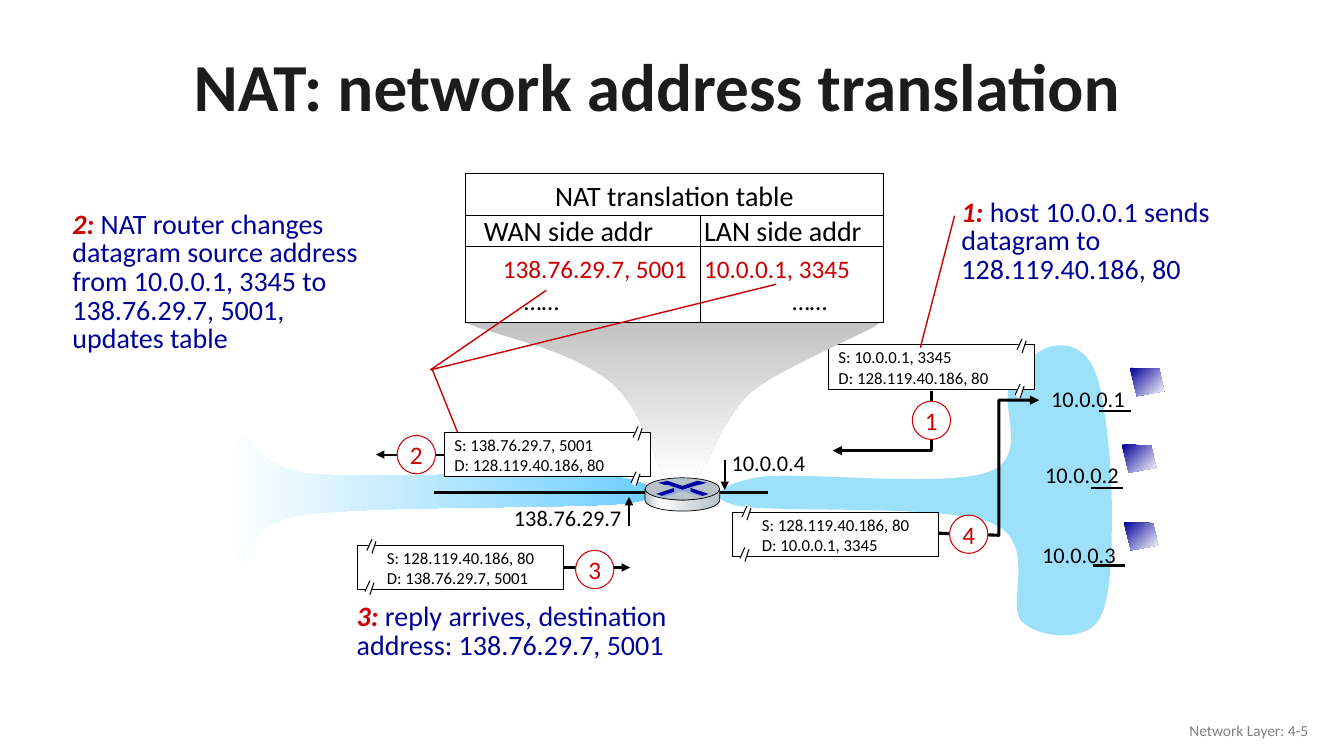
"""Build the slide on NAT, laid out on a grid of tenth-of-an-inch columns and rows."""
from collections import namedtuple

from pptx import Presentation
from pptx import util as u
from pptx.dml import color as dml
from pptx.enum import shapes, text
from pptx.oxml import ns, xmlchemy

GRID = u.Inches(0.1)
COLUMNS, ROWS = 133.33, 75
COLORS = {"black": "000000", "white": "FFFFFF", "title": "1C1C1C", "red": "CC0000", "navy": "000099",
          "footer": "808080", "sky": "66CCFF", "lan": "9CE0FA", "grey": "BFBFBF", "steel": "B8C2C9",
          "silver": "D6DCE0", "arrow": "0000A3", "shade": "8FAADC"}
ALIGN, ANCHOR = text.PP_ALIGN, text.MSO_ANCHOR
Packet = namedtuple("Packet", "number left top lines torn_right badge weight side route")
Note = namedtuple("Note", "number box lines pointers")
Host = namedtuple("Host", "address label monitor")
Row = namedtuple("Row", "height size color top spacing entries")

SENT = Packet("1", 82.2, 34.2, ("S: 10.0.0.1, 3345", "D: 128.119.40.186, 80"), True, (90.5, 39.8), 2.25, 2,
              ((92.4, 38.8), (92.4, 44.7), (82.6, 44.7)))
RELAYED = Packet("2", 44.1, 42.9, ("S: 138.76.29.7, 5001", "D: 128.119.40.186, 80"), True, (39.4, 43.2), 1.5, 1,
                 ((44.1, 45.1), (37.3, 45.1)))
REPLY = Packet("3", 35.5, 54.1, ("S: 128.119.40.186, 80", "D: 138.76.29.7, 5001"), False, (57.1, 54.6), 1.5, 3,
               ((56, 56.3), (62.5, 56.3)))
DELIVERED = Packet("4", 72.7, 50.8, ("S: 128.119.40.186, 80", "D: 10.0.0.1, 3345"), False, (94.2, 51.1), 2.25, 3,
                   ((93.1, 52.9), (99.1, 53.1), (99.1, 39.7), (103.1, 39.7)))
SENT_NOTE = Note("1: ", (94.4, 19.3, 33.6, 9.6), ("host 10.0.0.1 sends datagram to 128.119.40.186, 80",),
                 (((94.7, 21.4), (91.3, 34.5)),))
RELAYED_NOTE = Note(
    "2: ", (6.2, 20.5, 34.5, 15.3),
    ("NAT router changes datagram source address from 10.0.0.1, 3345 to 138.76.29.7, 5001,", "updates table"),
    (((42.9, 36.7), (45.4, 42.9)), ((42.7, 36.7), (54.2, 28.8)), ((42.7, 36.7), (77, 28.2))))
REPLY_NOTE = Note("3: ", (34.4, 59.4, 38.9, 6.8), ("reply arrives, destination address: 138.76.29.7, 5001",), ())
HOSTS = (Host("10.0.0.1", (103.3, 37.7), (112.1, 36.5)), Host("10.0.0.2", (102.7, 45.3), (111.3, 44.1)),
         Host("10.0.0.3", (102.4, 53.2), (111.5, 51.8)))
TABLE = (Row(4.2, 20, "black", 0.6, 1.0, (("NAT translation table", 0),)),
         Row(3.0, 20, "black", 0.2, 0.85, (("WAN side addr", 1.8), ("LAN side addr", 0.35))),
         Row(4.0, 18, "red", 0.8, 1.0, (("138.76.29.7, 5001", 3.7), ("10.0.0.1, 3345", 0.35))),
         Row(3.6, 18, "black", 0, 1.0, (("……", 5.8), ("……", 9.1))))

WAN_CLOUD = ((59.8, 47.1), (54.5, 46.6, 36.8, 47.6, 30.8, 47), (24.8, 46.4, 24.9, 42.1, 23.7, 43.5),
             (22.5, 45, 22.7, 54.4, 23.7, 55.7), (24.7, 56.9, 23.5, 52.1, 29.9, 51.1),
             (36.3, 50.1, 57.3, 50.5, 62.3, 49.9), (67.3, 49.2, 64.1, 47.6, 59.8, 47.1))
LAN_CLOUD = ((75.5, 47.3), (79.6, 46.8, 94, 48.4, 98.1, 46.8), (102.2, 45.3, 99.1, 40.2, 100.2, 38.1),
             (101.3, 36, 103.3, 34.4, 104.7, 34.3), (106.1, 34.1, 107.9, 34.6, 108.8, 37.3),
             (109.7, 40, 110.3, 46.4, 110.3, 50.5), (110.3, 54.6, 110.3, 59.9, 108.8, 61.8),
             (107.3, 63.6, 103.1, 63.3, 101.4, 61.7), (99.7, 60, 103.1, 53.8, 98.4, 51.9),
             (93.8, 50, 77.1, 50.9, 73.3, 50.2), (69.5, 49.4, 71.7, 47.9, 75.5, 47.3))
FUNNEL = ((46.2, 32), (46.2, 32, 82.3, 30.9, 87.1, 32), (88.5, 31.9, 77.7, 36.3, 74.7, 38.7),
          (71.7, 41.2, 70.2, 46.3, 68.9, 47.7), (66.3, 47.7), (64.9, 46, 63.8, 40.4, 60.5, 37.8),
          (56.3, 34.5, 49.5, 33.4, 46.2, 32))
ROUTER_SIDE = ((71.4, 48.6), (71.4, 49.7), (71.1, 50.5, 69, 50.7, 67.7, 50.7), (66.5, 50.7, 64.3, 50.5, 64, 49.7),
               (64, 48.5), (64.4, 49.2, 66.5, 49.6, 67.7, 49.6), (68.9, 49.6, 71, 49.3, 71.4, 48.6))
ROUTER_MARKS = (
    ("arrow", ((69.2, 47.7), (70.1, 47.9), (69.4, 48.1), (69.3, 48.1), (67.7, 48.6), (66.2, 48.1), (65.9, 48.1),
               (65.3, 47.9), (66.2, 47.7), (67.7, 48.2))),
    ("arrow", ((68.5, 48.4), (70.3, 49), (69.7, 49.2), (68.5, 48.8))),
    ("arrow", ((66.9, 48.4), (66.9, 48.8), (65.7, 49.2), (65.1, 49))),
    ("shade", ((65.9, 48.1), (66.2, 48.1), (67.7, 48.6), (69.3, 48.1), (69.5, 48.1), (68.5, 48.4), (68.5, 48.8),
               (69.6, 49.2), (69.3, 49.2), (67.7, 48.7), (66, 49.3), (65.7, 49.2), (66.9, 48.8), (66.9, 48.4))))
MONITOR = ((0, 0), (2.9, 0.1), (3.4, 2.3), (0.7, 2.8))
TEAR = ((0.4, 0), (0, 1.3), (0.5, 1.7), (0.9, 0.4))
TEAR_EDGES = (((0.5, 0.2), (0, 1.3)), ((0.9, 0.4), (0.5, 1.6)))


def grid(*cells: float) -> list[u.Emu]:
    return [u.Emu(round(cell * GRID)) for cell in cells]


def rgb(name: str) -> dml.RGBColor:
    return dml.RGBColor.from_string(COLORS[name])


def shift(points: tuple, origin: tuple) -> list[tuple]:
    return [(x + origin[0], y + origin[1]) for x, y in points]


def add_child(parent, tag: str, **attributes: str):
    child = xmlchemy.OxmlElement(tag)
    for key, value in attributes.items():
        child.set(key, value)
    parent.append(child)
    return child


def paint(shape, fill: str | tuple | None, line: str | None = None, weight: float = 0.75, angle: int = 0) -> None:
    shape.shadow.inherit = False
    if isinstance(fill, tuple):
        shape.fill.gradient()
        shape.fill.gradient_angle = -angle % 360
        stops = shape._element.spPr.find(".//" + ns.qn("a:gsLst"))
        stops[:] = []
        for position, name in fill:
            add_child(add_child(stops, "a:gs", pos=str(position * 1000)), "a:srgbClr", val=COLORS[name])
    elif fill:
        shape.fill.solid()
        shape.fill.fore_color.rgb = rgb(fill)
    else:
        shape.fill.background()
    shape.line.fill.background()
    if line:
        shape.line.color.rgb, shape.line.width = rgb(line), u.Pt(weight)


def add_outline(slide, steps: tuple | list, closed: bool = True):
    points = [grid(*step[n:n + 2]) for step in steps for n in range(0, len(step), 2)]
    builder = slide.shapes.build_freeform(*points[0])
    builder.add_line_segments(points[1:], close=closed)
    outline = builder.convert_to_shape()
    segments = iter(outline._element.findall(".//" + ns.qn("a:lnTo")))
    for step in steps[1:]:
        segment = next(segments)
        if len(step) == 6:
            curve = xmlchemy.OxmlElement("a:cubicBezTo")
            segment.addprevious(curve)
            for corner in (segment, next(segments), next(segments)):
                curve.append(corner[0])
                corner.getparent().remove(corner)
    return outline


def add_line(slide, start: tuple, end: tuple, color: str = "black", weight: float = 0.75, arrow: bool = False):
    line = slide.shapes.add_connector(shapes.MSO_CONNECTOR.STRAIGHT, *grid(*start, *end))
    line.line.color.rgb, line.line.width = rgb(color), u.Pt(weight)
    if arrow:
        add_child(line.line._get_or_add_ln(), "a:tailEnd", type="triangle")
    add_child(line._element.spPr, "a:effectLst")
    return line


def style(paragraph, size: float, color: str, align=ALIGN.LEFT, spacing: float = 1.0, bold: bool = False) -> None:
    paragraph.alignment, paragraph.line_spacing = align, spacing
    font = paragraph.font
    font.name, font.size, font.bold, font.color.rgb = "Calibri", u.Pt(size), bold, rgb(color)


def add_label(slide, box: tuple, lines: tuple, size: float, color="black", wrap=True, anchor=ANCHOR.TOP, **look):
    frame = slide.shapes.add_textbox(*grid(*box)).text_frame
    frame.word_wrap, frame.vertical_anchor, frame.text = wrap, anchor, "\n".join(lines)
    for paragraph in frame.paragraphs:
        style(paragraph, size, color, **look)
    return frame


def add_note(slide, note: Note) -> None:
    first = add_label(slide, note.box, (note.number, *note.lines[1:]), 20, "navy", spacing=0.85).paragraphs[0]
    font = first.runs[0].font
    font.bold, font.italic, font.color.rgb = True, True, rgb("red")
    first.add_run().text = note.lines[0]
    for start, end in note.pointers:
        add_line(slide, start, end, "red", 1)


def add_packet(slide, packet: Packet) -> None:
    corner = (packet.left, packet.top)
    datagram = slide.shapes.add_shape(shapes.MSO_SHAPE.RECTANGLE, *grid(*corner, 20.45, 4.4))
    paint(datagram, "white", "black")
    inset = 0 if packet.torn_right else 1.9
    add_label(slide, (packet.left + inset, packet.top - 0.25, 19.4, 5), packet.lines, 12)
    for origin in shift(((18.7, -0.8), (18.5, 3.7)) if packet.torn_right else ((0.9, -0.8), (0.7, 3.3)), corner):
        paint(add_outline(slide, shift(TEAR, origin)), "white")
        for edge in TEAR_EDGES:
            add_line(slide, *shift(edge, origin))
    if len(packet.route) == 2:
        add_line(slide, *packet.route, weight=packet.weight, arrow=True).begin_connect(datagram, packet.side)
    else:
        route = add_outline(slide, packet.route, closed=False)
        paint(route, None, "black", packet.weight)
        add_child(route.line._get_or_add_ln(), "a:tailEnd", type="triangle")
    badge = slide.shapes.add_shape(shapes.MSO_SHAPE.OVAL, *grid(*packet.badge, 3.8, 3.8))
    paint(badge, "white", "red")
    frame = badge.text_frame
    frame.margin_left = frame.margin_right = frame.margin_top = frame.margin_bottom = 0
    frame.text = packet.number
    style(frame.paragraphs[0], 18, "red", ALIGN.CENTER)


def add_translation_table(slide) -> None:
    table = slide.shapes.add_table(len(TABLE), 2, *grid(46.2, 17.2, 41.4, 14.8)).table
    table.first_row = table.horz_banding = False
    table.columns[0].width, table.columns[1].width = grid(23.3, 18.1)
    table.cell(0, 0).merge(table.cell(0, 1))
    for index, row in enumerate(TABLE):
        table.rows[index].height = grid(row.height)[0]
        for column, (entry, indent) in enumerate(row.entries):
            cell = table.cell(index, column)
            cell.margin_left, cell.margin_right, cell.margin_top, cell.margin_bottom = grid(indent, 0, row.top, 0)
            for edge in ("a:lnL", "a:lnR", "a:lnT", "a:lnB"):
                border = add_child(cell._tc.get_or_add_tcPr(), edge, w=str(u.Pt(0.75)))
                if (index, edge) in ((2, "a:lnB"), (3, "a:lnT")):
                    add_child(border, "a:noFill")
                else:
                    add_child(add_child(border, "a:solidFill"), "a:srgbClr", val=COLORS["black"])
            cell.fill.solid()
            cell.fill.fore_color.rgb, cell.text = rgb("white"), entry
            align = ALIGN.LEFT if index else ALIGN.CENTER
            style(cell.text_frame.paragraphs[0], row.size, row.color, align, row.spacing)


def add_host(slide, host: Host) -> None:
    add_label(slide, (*host.label, 9.4, 3.7), (host.address,), 16, wrap=False)
    paint(add_outline(slide, shift(MONITOR, host.monitor)), ((0, "navy"), (100, "white")), angle=45)
    add_line(slide, *shift(((-3.1, 4.3), (0.1, 4.3)), host.monitor), weight=1.5)


def add_router(slide) -> None:
    add_line(slide, (43.1, 48.9), (76.2, 48.9), weight=2)
    metal = ((0, "steel"), (21, "white"), (60, "silver"), (100, "steel"))
    paint(add_outline(slide, ROUTER_SIDE), metal, "black", 0.5)
    paint(slide.shapes.add_shape(shapes.MSO_SHAPE.OVAL, *grid(64, 47.4, 7.4, 2.2)), "steel", "black", 0.5)
    for color, outline in ROUTER_MARKS:
        paint(add_outline(slide, outline), color)
    add_line(slide, (62.4, 52.2), (62.4, 49.3), weight=1.5, arrow=True)
    add_line(slide, (71.9, 45.6), (71.9, 48.6), weight=1.5, arrow=True)


def main() -> None:
    deck = Presentation()
    deck.slide_width, deck.slide_height = grid(COLUMNS, ROWS)
    slide = deck.slides.add_slide(deck.slide_layouts[6])
    add_label(slide, (7.7, 3.1, 115, 11.7), ("NAT: network address translation",), 48, "title",
              anchor=ANCHOR.MIDDLE, align=ALIGN.CENTER, spacing=0.9, bold=True)
    paint(add_outline(slide, WAN_CLOUD), ((0, "white"), (100, "sky")))
    paint(add_outline(slide, LAN_CLOUD), "lan")
    add_packet(slide, SENT)
    add_label(slide, (71.6, 44.1, 9.4, 3.7), ("10.0.0.4",), 16, wrap=False)
    add_label(slide, (50, 49.5, 12.8, 3.7), ("138.76.29.7",), 16, wrap=False)
    add_note(slide, SENT_NOTE)
    paint(add_outline(slide, FUNNEL), ((0, "grey"), (100, "white")), angle=90)
    add_translation_table(slide)
    for packet, note in ((DELIVERED, None), (RELAYED, RELAYED_NOTE), (REPLY, REPLY_NOTE)):
        add_packet(slide, packet)
        if note:
            add_note(slide, note)
    for host in HOSTS:
        add_host(slide, host)
    add_router(slide)
    add_label(slide, (100.8, 70.5, 30, 4), ("Network Layer: 4-5",), 11, "footer",
              anchor=ANCHOR.MIDDLE, align=ALIGN.RIGHT)
    deck.save("out.pptx")


if __name__ == "__main__":
    main()
